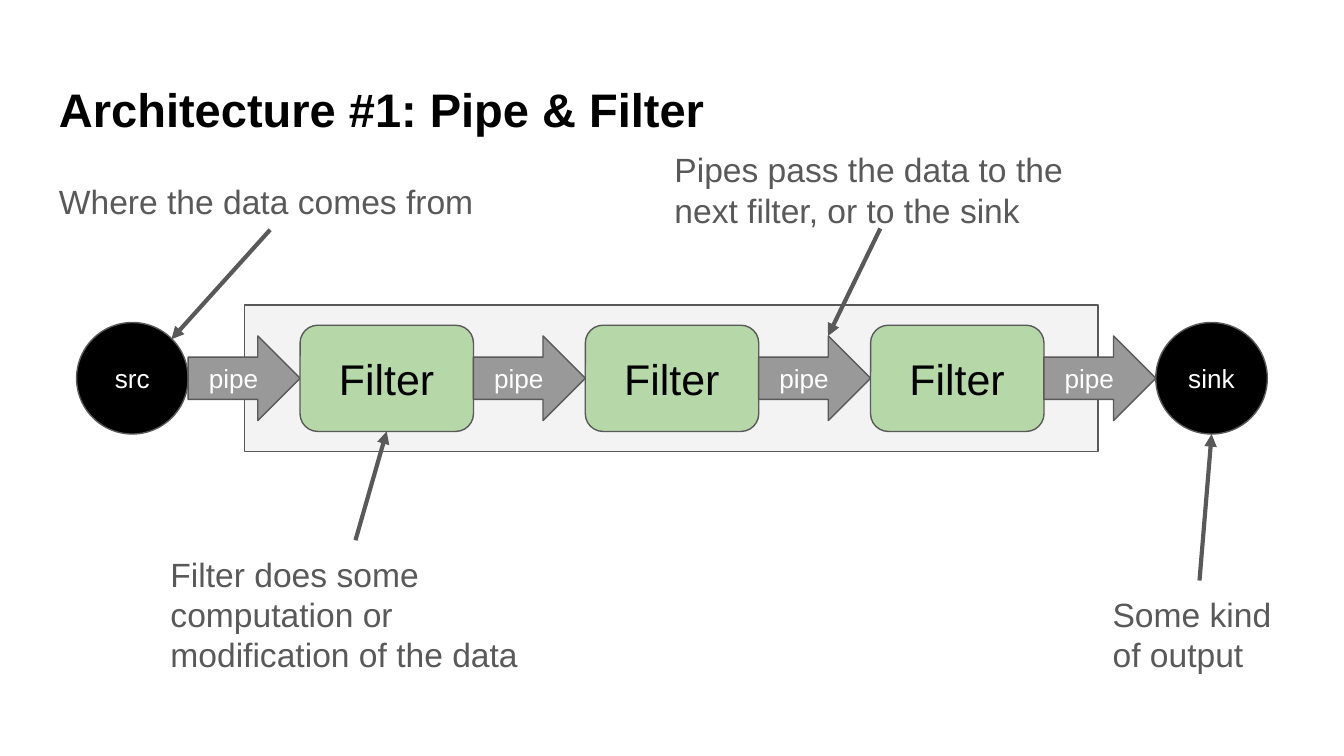
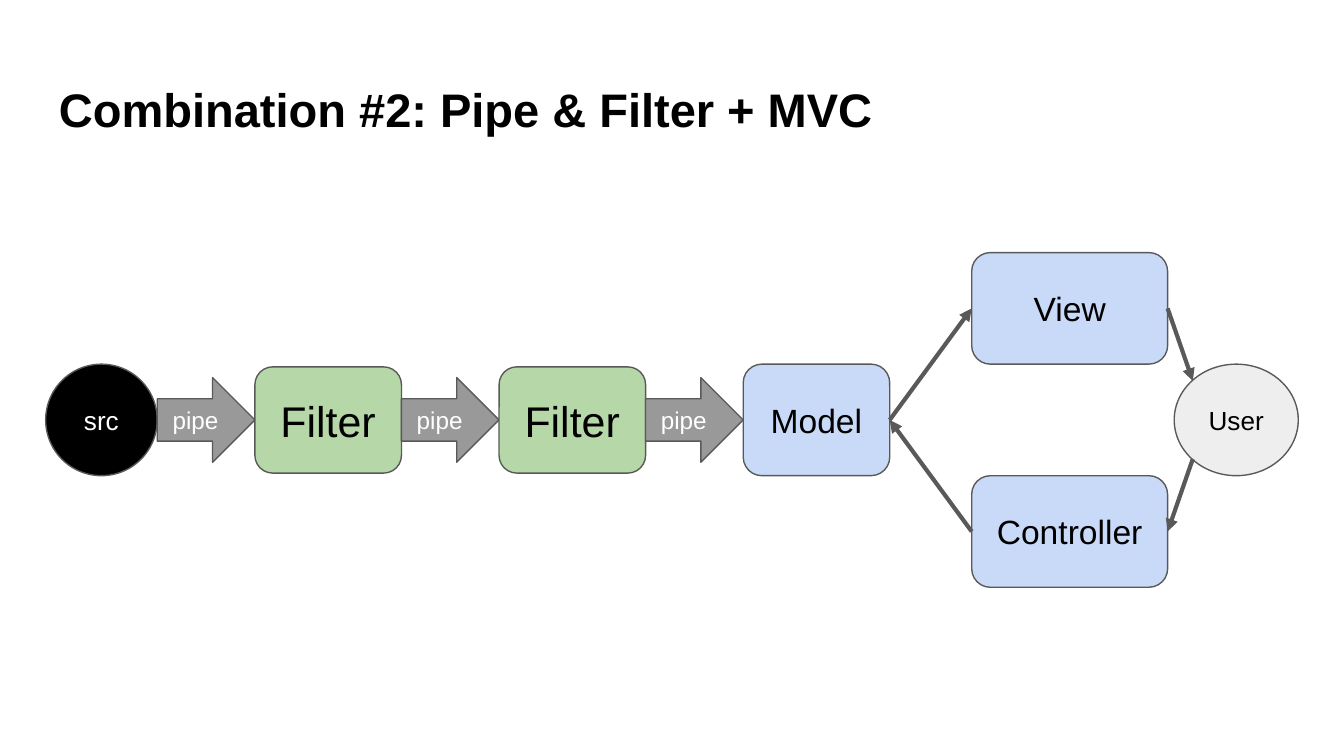
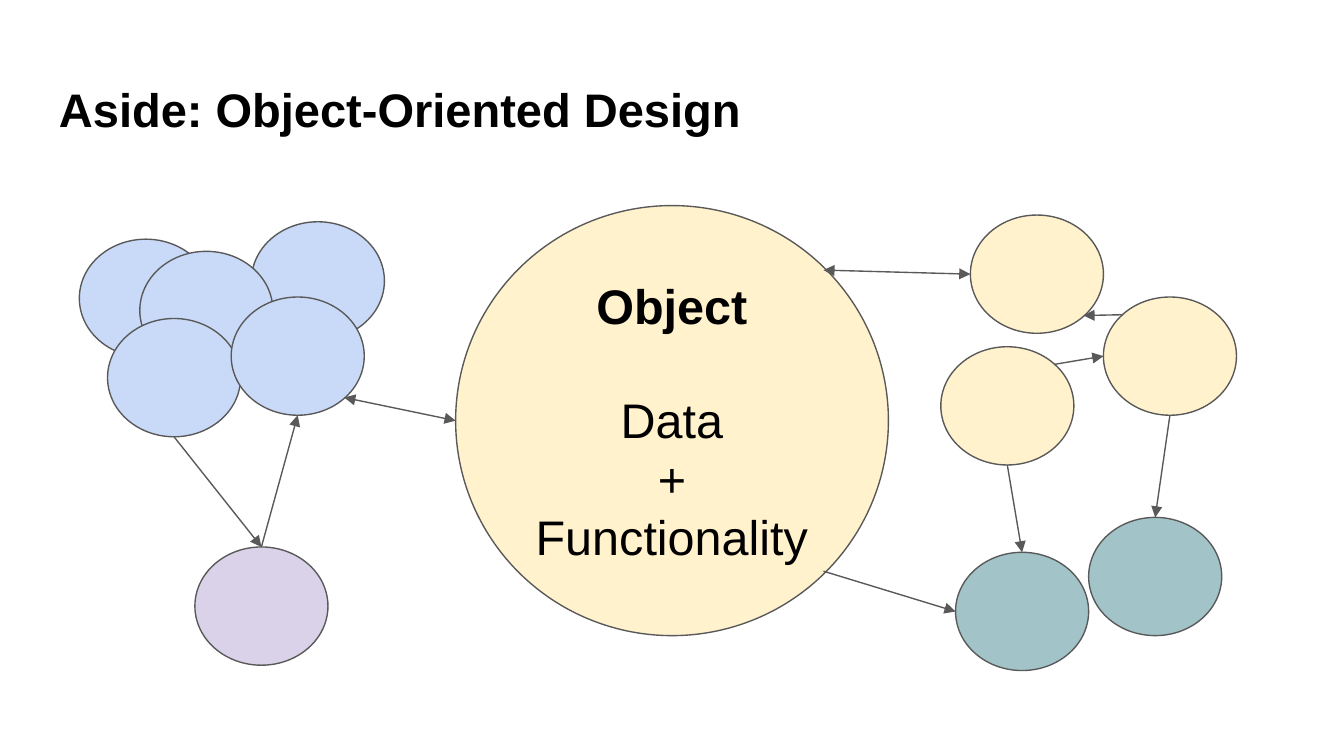
"""Build three slides on software architectures: pipes, MVC and objects."""
from collections import namedtuple

from lxml import etree
from pptx import Presentation
from pptx import util as u
from pptx.dml.color import RGBColor
from pptx.enum import shapes, text
from pptx.oxml.ns import qn

COLUMNS, ROWS = 100, 56.25
CELL = u.Inches(0.1)
FONT = "Arial"
COLORS = {
    "ink": "000000", "paper": "FFFFFF", "outline": "595959", "frame": "F3F3F3",
    "pipe": "999999", "filter": "B6D7A8", "blue": "C9DAF8", "user": "EEEEEE",
    "cream": "FFF2CC", "teal": "A2C4C9", "lilac": "D9D2E9",
}
OVAL = shapes.MSO_SHAPE.OVAL
ROUNDED = shapes.MSO_SHAPE.ROUNDED_RECTANGLE
ARROW = shapes.MSO_SHAPE.RIGHT_ARROW
SIDES = {
    "top": (0.5, 0), "bottom": (0.5, 1), "left": (0, 0.5), "right": (1, 0.5),
    "top left": (0.15, 0.15), "top right": (0.85, 0.15),
    "bottom left": (0.15, 0.85), "bottom right": (0.85, 0.85),
}

Style = namedtuple("Style", "preset fill ink size height")
TERMINAL = Style(OVAL, "ink", "paper", 14, 8.3)
FILTER = Style(ROUNDED, "filter", "ink", 23, 7.9)
PIPE = Style(ARROW, "pipe", "paper", 14, 6.3)
PART = Style(ROUNDED, "blue", "ink", 18, 8.3)
USER = Style(OVAL, "user", "ink", 14, 8.3)


class Box(namedtuple("Box", "left top width height")):
    """A rectangle measured in grid columns and rows."""

    def point(self, across, down):
        """Return the point at the given shares of the width and height."""
        return self.left + across * self.width, self.top + down * self.height

    def side(self, name):
        """Return the point of a named side or corner."""
        return self.point(*SIDES[name])

    def emu(self):
        """Return the box as slide lengths."""
        return [round(cells * CELL) for cells in self]


def color(name):
    """Return a palette colour."""
    return RGBColor.from_string(COLORS[name])


def write(frame, lines, size, ink, align=None, bold_first=False):
    """Put lines into a text frame and format their runs."""
    frame.word_wrap = True
    frame.margin_left = frame.margin_right = CELL
    frame.margin_top = frame.margin_bottom = CELL
    frame.text = "\n".join(lines)
    for number, paragraph in enumerate(frame.paragraphs):
        paragraph.alignment = align
        for run in paragraph.runs:
            run.font.name, run.font.size = FONT, u.Pt(size)
            run.font.color.rgb = color(ink)
            run.font.bold = bold_first and number == 0


def add_node(slide, box, preset, fill):
    """Draw a filled, thinly outlined shape."""
    node = slide.shapes.add_shape(preset, *box.emu())
    node.shadow.inherit = False
    node.fill.solid()
    node.fill.fore_color.rgb = color(fill)
    node.line.color.rgb = color("outline")
    node.line.width = u.Pt(0.75)
    return node


def add_label(slide, box, label, style, size=None):
    """Draw a shape with a centred label."""
    node = add_node(slide, box, style.preset, style.fill)
    node.text_frame.vertical_anchor = text.MSO_ANCHOR.MIDDLE
    write(node.text_frame, [label], size or style.size, style.ink,
          text.PP_ALIGN.CENTER)


def add_link(slide, start, end, width=2.25, both=False):
    """Draw a line with an arrowhead at its end, or at both ends."""
    ends = [round(cells * CELL) for cells in (*start, *end)]
    link = slide.shapes.add_connector(shapes.MSO_CONNECTOR.STRAIGHT, *ends)
    link.line.color.rgb = color("outline")
    link.line.width = u.Pt(width)
    stroke = link.line._get_or_add_ln()
    for tag in (["a:headEnd"] if both else []) + ["a:tailEnd"]:
        etree.SubElement(stroke, qn(tag), type="triangle")
    etree.SubElement(link._element.spPr, qn("a:effectLst"))


def add_words(slide, box, words, size, ink, bold=False):
    """Place a plain text box."""
    frame = slide.shapes.add_textbox(*box.emu()).text_frame
    write(frame, [words], size, ink, bold_first=bold)
    return frame


def add_titled_slide(deck, title):
    """Add a blank slide with the shared title."""
    slide = deck.slides.add_slide(deck.slide_layouts[6])
    frame = add_words(slide, Box(3.4, 4.9, 93.2, 6.3), title, 25.2, "ink", True)
    frame.vertical_anchor = text.MSO_ANCHOR.BOTTOM
    return slide


def add_flow(slide, box, stations, pipe_size):
    """Spread stations over the box, join them by pipes, return both."""
    middle = box.top + box.height / 2
    spare = box.width - sum(width for _, _, width in stations)
    gap = spare / (len(stations) - 1)
    left, places, pipes = box.left, [], []
    for label, style, width in stations:
        if places:
            pipe = Box(left, middle - PIPE.height / 2, gap, PIPE.height)
            add_label(slide, pipe, "pipe", PIPE, pipe_size)
            pipes.append(pipe)
            left += gap
        place = Box(left, middle - style.height / 2, width, style.height)
        add_label(slide, place, label, style)
        places.append(place)
        left += width
    return places, pipes


def add_callout(slide, box, words, target):
    """Place a remark with an arrow from its nearer edge to the target."""
    add_words(slide, box, words, 18, "outline")
    edge = "top" if target[1] < box.top else "bottom"
    add_link(slide, box.side(edge), target)


def add_mvc(slide, box, model):
    """Place view, controller and user in the box and link them to the model."""
    third = box.height / 3
    view = Box(box.left, box.top, 0.6 * box.width, third)
    controller = view._replace(top=box.top + 2 * third)
    user_width = 0.38 * box.width
    user = Box(box.left + box.width - user_width, box.top + third, user_width, third)
    add_label(slide, view, "View", PART)
    add_label(slide, controller, "Controller", PART)
    add_label(slide, user, "User", USER)
    add_link(slide, controller.side("left"), model.side("right"))
    add_link(slide, model.side("right"), view.side("left"))
    add_link(slide, view.side("right"), user.side("top left"))
    add_link(slide, user.side("bottom left"), controller.side("right"))


def add_object(slide, box):
    """Draw the large object and its explanation."""
    frame = add_node(slide, box, OVAL, "cream").text_frame
    frame.vertical_anchor = text.MSO_ANCHOR.MIDDLE
    write(frame, ["Object", "Data", "+", "Functionality"], 26, "ink",
          text.PP_ALIGN.CENTER, bold_first=True)
    frame.paragraphs[1].space_before = u.Pt(30)


def add_cluster(slide, box, members):
    """Draw equal small objects at offsets in the box and return their boxes."""
    places = []
    for fill, across, down in members:
        place = Box(box.left + across, box.top + down, 9.9, 8.8)
        add_node(slide, place, OVAL, fill)
        places.append(place)
    return places


def build_pipe_and_filter(deck):
    """Build the pipe and filter slide."""
    slide = add_titled_slide(deck, "Architecture #1: Pipe & Filter")
    add_node(slide, Box(18.2, 22.7, 63.5, 10.9),
             shapes.MSO_SHAPE.RECTANGLE, "frame")
    stations = [("src", TERMINAL, 8.3), *[("Filter", FILTER, 12.9)] * 3,
                ("sink", TERMINAL, 8.3)]
    places, pipes = add_flow(slide, Box(5.7, 24, 88.6, 8.3), stations, 14)
    add_callout(slide, Box(11.7, 40.2, 29.5, 10.9),
                "Filter does some computation or modification of the data",
                places[1].side("bottom"))
    add_callout(slide, Box(49.2, 10.1, 32.6, 6.9),
                "Pipes pass the data to the next filter, or to the sink",
                pipes[2].point(0.62, 0))
    add_callout(slide, Box(3.4, 12.5, 33.4, 4.6),
                "Where the data comes from", places[0].side("top right"))
    add_callout(slide, Box(81.8, 43.2, 14.9, 5),
                "Some kind of output", places[-1].side("bottom"))


def build_combination(deck):
    """Build the slide that joins a pipeline to MVC."""
    slide = add_titled_slide(deck, "Combination #2: Pipe & Filter + MVC")
    stations = [("src", TERMINAL, 8.3), *[("Filter", FILTER, 10.9)] * 2,
                ("Model", PART, 10.9)]
    places, _ = add_flow(slide, Box(3.4, 27.1, 62.8, 8.3), stations, 13)
    add_mvc(slide, Box(72.3, 18.8, 24.3, 24.9), places[-1])


def build_objects(deck):
    """Build the object-oriented design slide."""
    slide = add_titled_slide(deck, "Aside: Object-Oriented Design")
    hub = Box(33.9, 15.3, 32.2, 32)
    add_object(slide, hub)
    upper, lower, outer, far, near = add_cluster(slide, Box(70, 16, 22, 33.9), [
        ("cream", 2.2, 0), ("cream", 0, 9.8), ("cream", 12.1, 6.1),
        ("teal", 11, 22.5), ("teal", 1.1, 25.1)])
    *_, front, right, lilac = add_cluster(slide, Box(5.9, 16.5, 22.7, 33), [
        ("blue", 12.8, 0), ("blue", 0, 1.3), ("blue", 4.5, 2.2),
        ("blue", 2.1, 7.2), ("blue", 11.3, 5.6), ("lilac", 8.6, 24.2)])
    for start, start_side, end, end_side, both in [
            (lower, "bottom", near, "top", False),
            (hub, "top right", upper, "left", True),
            (hub, "left", right, "bottom right", True),
            (front, "bottom", lilac, "top", False),
            (lilac, "top", right, "bottom", False),
            (lower, "top right", outer, "left", False),
            (outer, "top left", upper, "bottom right", False),
            (outer, "bottom", far, "top", False),
            (hub, "bottom right", near, "left", False)]:
        add_link(slide, start.side(start_side), end.side(end_side), 0.75, both)


def main():
    """Build and save the deck."""
    deck = Presentation()
    deck.slide_width, deck.slide_height = round(COLUMNS * CELL), round(ROWS * CELL)
    build_pipe_and_filter(deck)
    build_combination(deck)
    build_objects(deck)
    deck.save("out.pptx")


if __name__ == "__main__":
    main()
